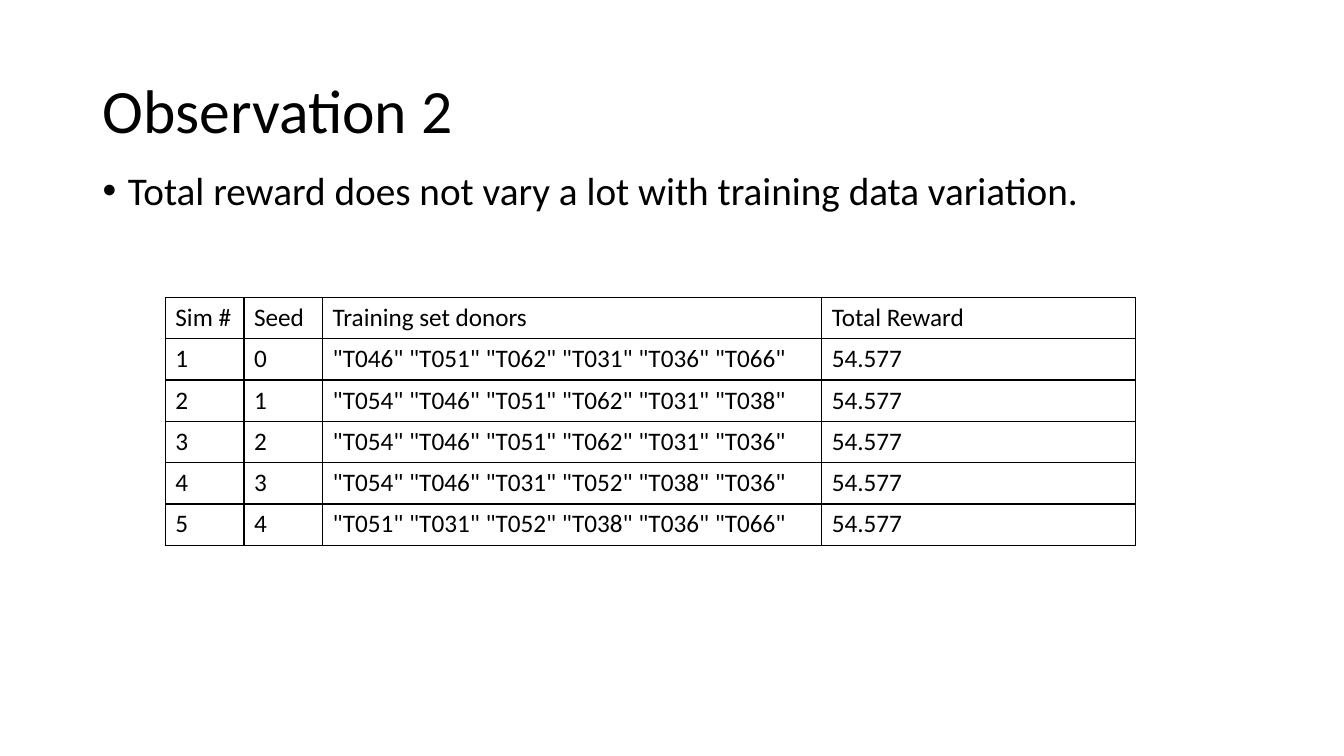
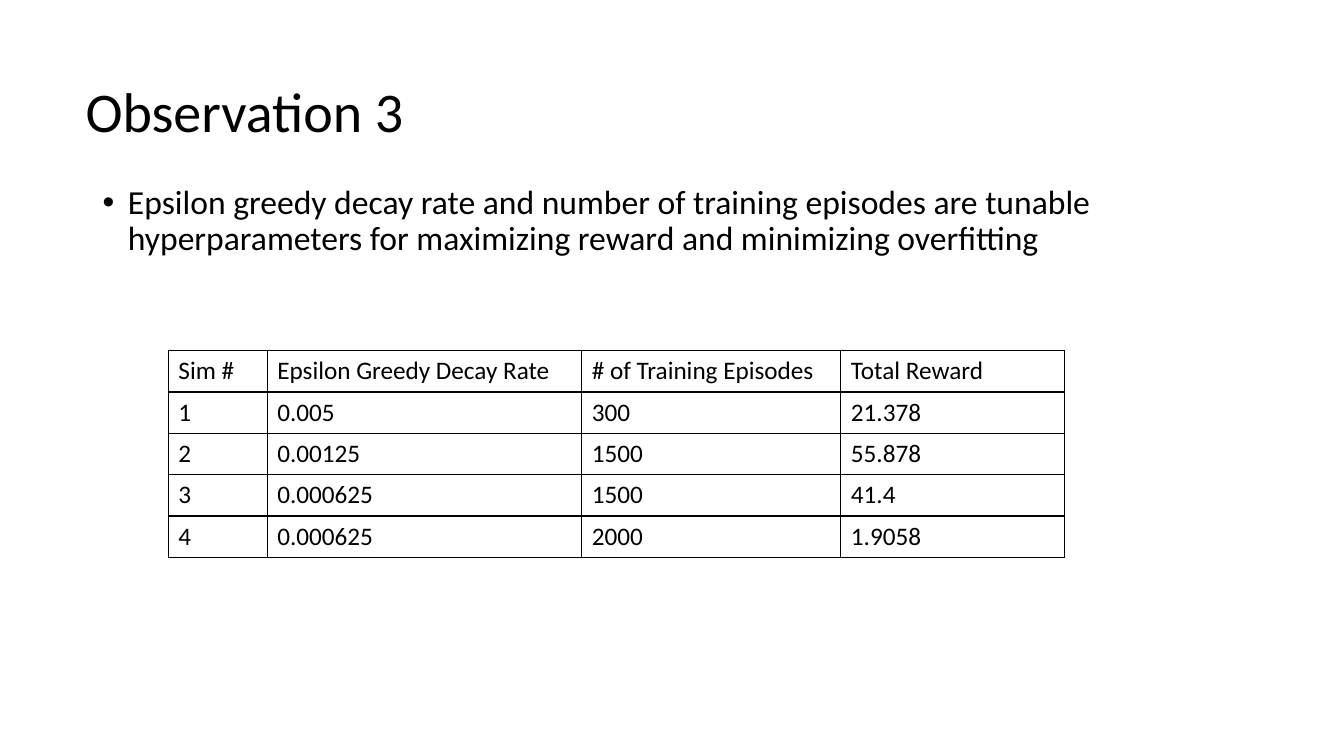
from lxml import etree
from pptx import Presentation
from pptx import util as u
from pptx.dml.color import RGBColor
from pptx.enum import text
from pptx.oxml import ns

BLACK = "000000"
WHITE = "FFFFFF"


def px(length):
    return u.Emu(length * 9144)


def color(value):
    return RGBColor.from_string(value)


class Deck:
    font_name = "Calibri"
    line_spacing = 0.9
    cell_size = 18
    row_height = 41
    bullet_indent = 25

    def __init__(self):
        self.presentation = Presentation()
        self.presentation.slide_width = px(1333)
        self.presentation.slide_height = px(750)
        self.slide = None

    def add_slide(self):
        self.slide = self.presentation.slides.add_slide(self.presentation.slide_layouts[6])
        fill = self.slide.background.fill
        fill.solid()
        fill.fore_color.rgb = color(WHITE)

    def style(self, paragraph, size):
        paragraph.font.name = self.font_name
        paragraph.font.size = u.Pt(size)
        paragraph.font.color.rgb = color(BLACK)

    def text_box(self, box, content, size, anchor):
        frame = self.slide.shapes.add_textbox(*map(px, box)).text_frame
        frame.word_wrap = True
        frame.vertical_anchor = anchor
        paragraph = frame.paragraphs[0]
        paragraph.text = content
        paragraph.line_spacing = self.line_spacing
        self.style(paragraph, size)
        return paragraph

    def title(self, box, content, size):
        self.text_box(box, content, size, text.MSO_ANCHOR.MIDDLE)

    def bullet(self, box, content, size):
        paragraph = self.text_box(box, content, size, text.MSO_ANCHOR.TOP)
        paragraph.space_before = u.Pt(10)
        properties = paragraph._p.get_or_add_pPr()
        properties.set("marL", str(px(self.bullet_indent)))
        properties.set("indent", str(-px(self.bullet_indent)))
        bullet_font = etree.Element(ns.qn("a:buFont"), typeface="Arial")
        bullet_mark = etree.Element(ns.qn("a:buChar"), char="•")
        default_font = properties.find(ns.qn("a:defRPr"))
        default_font.addprevious(bullet_font)
        default_font.addprevious(bullet_mark)

    def cell_borders(self, cell):
        properties = cell._tc.get_or_add_tcPr()
        for side in ("lnL", "lnR", "lnT", "lnB"):
            line = etree.SubElement(properties, ns.qn(f"a:{side}"), w=str(u.Pt(1)))
            fill = etree.SubElement(line, ns.qn("a:solidFill"))
            etree.SubElement(fill, ns.qn("a:srgbClr"), val=BLACK)

    def table(self, left, top, widths, rows):
        height = self.row_height * len(rows)
        frame = self.slide.shapes.add_table(
            len(rows), len(widths), px(left), px(top), px(sum(widths)), px(height))
        table = frame.table
        table.first_row = False
        table.horz_banding = False
        for column, width in zip(table.columns, widths):
            column.width = px(width)
        for row, values in zip(table.rows, rows):
            row.height = px(self.row_height)
            for cell, value in zip(row.cells, values):
                cell.text = value
                self.style(cell.text_frame.paragraphs[0], self.cell_size)
                self.cell_borders(cell)
                cell.fill.background()

    def save(self):
        self.presentation.save("out.pptx")


def training_data_slide(deck):
    donor_sets = [
        "T046 T051 T062 T031 T036 T066",
        "T054 T046 T051 T062 T031 T038",
        "T054 T046 T051 T062 T031 T036",
        "T054 T046 T031 T052 T038 T036",
        "T051 T031 T052 T038 T036 T066",
    ]
    rows = [("Sim #", "Seed", "Training set donors", "Total Reward")]
    for seed, donors in enumerate(donor_sets):
        quoted = " ".join(f'"{donor}"' for donor in donors.split())
        rows.append((str(seed + 1), str(seed), quoted, "54.577"))
    deck.add_slide()
    deck.title((92, 40, 1150, 145), "Observation 2", 44)
    deck.bullet((92, 165, 1150, 69),
                "Total reward does not vary a lot with training data variation.", 28)
    deck.table(164, 295, (78, 78, 495, 311), rows)


def hyperparameter_slide(deck):
    rows = [
        ("Sim #", "Epsilon Greedy Decay Rate", "# of Training Episodes", "Total Reward"),
        ("1", "0.005", "300", "21.378"),
        ("2", "0.00125", "1500", "55.878"),
        ("3", "0.000625", "1500", "41.4"),
        ("4", "0.000625", "2000", "1.9058"),
    ]
    deck.add_slide()
    deck.title((75, 60, 1150, 107), "Observation 3", 40)
    deck.bullet((92, 179, 1150, 99),
                "Epsilon greedy decay rate and number of training episodes are tunable "
                "hyperparameters for maximizing reward and minimizing overfitting", 24)
    deck.table(167, 348, (98, 312, 257, 222), rows)


def main():
    deck = Deck()
    training_data_slide(deck)
    hyperparameter_slide(deck)
    deck.save()


if __name__ == "__main__":
    main()
